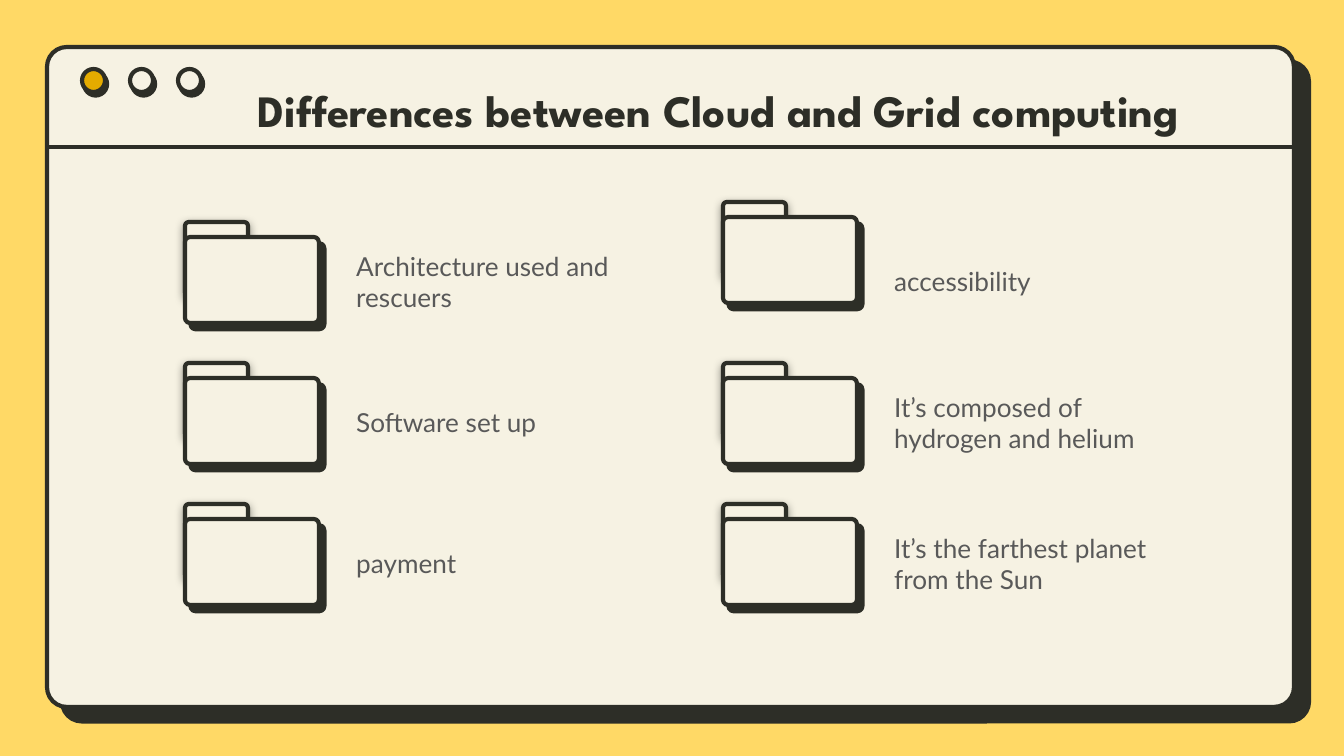
from lxml import etree
from pptx import Presentation
from pptx import util as u
from pptx.dml.color import RGBColor
from pptx.enum import shapes, text
from pptx.oxml import ns

PX = 914400 / 134.4  # EMU in one px
YELLOW = RGBColor(0xFF, 0xD9, 0x66)
CREAM = RGBColor(0xF6, 0xF2, 0xE3)
INK = RGBColor(0x2D, 0x2E, 0x27)
GOLD = RGBColor(0xE4, 0xAB, 0x00)
GREY = RGBColor(0x59, 0x59, 0x59)


def add_panel(kind, at, fill, angle, distance, corner=None, blur=0, opacity=100):
    """Add an outlined shape with a shadow (angle in degrees, distance in points)."""
    panel = page.shapes.add_shape(kind, *[round(n * PX) for n in at])
    if corner is not None:
        panel.adjustments[0] = corner
    panel.fill.solid()
    panel.fill.fore_color.rgb = fill
    panel.line.color.rgb = INK
    panel.line.width = u.Pt(2.25)
    panel.shadow.inherit = False
    effects = panel._element.spPr.find(ns.qn("a:effectLst"))
    shadow = etree.SubElement(
        effects, ns.qn("a:outerShdw"), blurRad=str(u.Pt(blur)), dist=str(u.Pt(distance)),
        dir=str(angle * 60000), algn="bl", rotWithShape="0")
    color = etree.SubElement(shadow, ns.qn("a:srgbClr"), val=str(INK))
    etree.SubElement(color, ns.qn("a:alpha"), val=str(opacity * 1000))


def add_label(at, words, font, size, color, anchor, align, bold=False):
    box = page.shapes.add_textbox(*[round(n * PX) for n in at])
    frame = box.text_frame
    frame.word_wrap = True
    frame.vertical_anchor = anchor
    frame.margin_left = frame.margin_right = u.Inches(0.1)
    frame.margin_top = frame.margin_bottom = u.Inches(0.1)
    para = frame.paragraphs[0]
    para.alignment = align
    span = para.add_run()
    span.text = words
    span.font.name = font
    span.font.size = u.Pt(size)
    span.font.bold = bold
    span.font.color.rgb = color


deck = Presentation()
deck.slide_width = round(1344 * PX)
deck.slide_height = round(756 * PX)
page = deck.slides.add_slide(deck.slide_layouts[6])
page.background.fill.solid()
page.background.fill.fore_color.rgb = YELLOW

ROUNDED = shapes.MSO_SHAPE.ROUNDED_RECTANGLE

# Window with its title bar rule
add_panel(ROUNDED, (47, 47, 1247, 660), CREAM, 44, 11.2, corner=0.03)
rule = page.shapes.add_connector(
    shapes.MSO_CONNECTOR.STRAIGHT, *[round(n * PX) for n in (1295, 147, 48, 147)])
rule.line.color.rgb = INK
rule.line.width = u.Pt(2.25)
etree.SubElement(rule._element.spPr, ns.qn("a:effectLst"))

# Window buttons
for number, fill in enumerate([GOLD, CREAM, CREAM]):
    add_panel(shapes.MSO_SHAPE.OVAL, (82 + 48 * number, 69, 23, 23), fill, 60, 2.2)

# Folders with labels: left, lift of the first folder, words from top to bottom
columns = [
    (185, 0, ["Architecture used and rescuers", "Software set up", "payment"]),
    (723, 20, ["accessibility", "It’s composed of hydrogen and helium",
               "It’s the farthest planet from the Sun"]),
]
for left, lift, labels in columns:
    for row, words in enumerate(labels):
        row_top = 222 + 141 * row
        top = row_top - lift if row == 0 else row_top
        add_panel(ROUNDED, (left, top, 63, 74), CREAM, 90, 1.5,
                  corner=0.06, blur=4.5, opacity=50)
        add_panel(ROUNDED, (left, top + 15, 134, 86), CREAM, 49, 4.5, corner=0.06)
        add_label((left + 158, row_top + 24, 292, 71), words, "Lato", 14, GREY,
                  text.MSO_ANCHOR.MIDDLE, text.PP_ALIGN.LEFT)

# Title
add_label((82, 16, 1273, 134), "Differences between Cloud and Grid computing",
          "League Spartan", 24, INK, text.MSO_ANCHOR.BOTTOM, text.PP_ALIGN.CENTER, bold=True)

deck.save("out.pptx")
